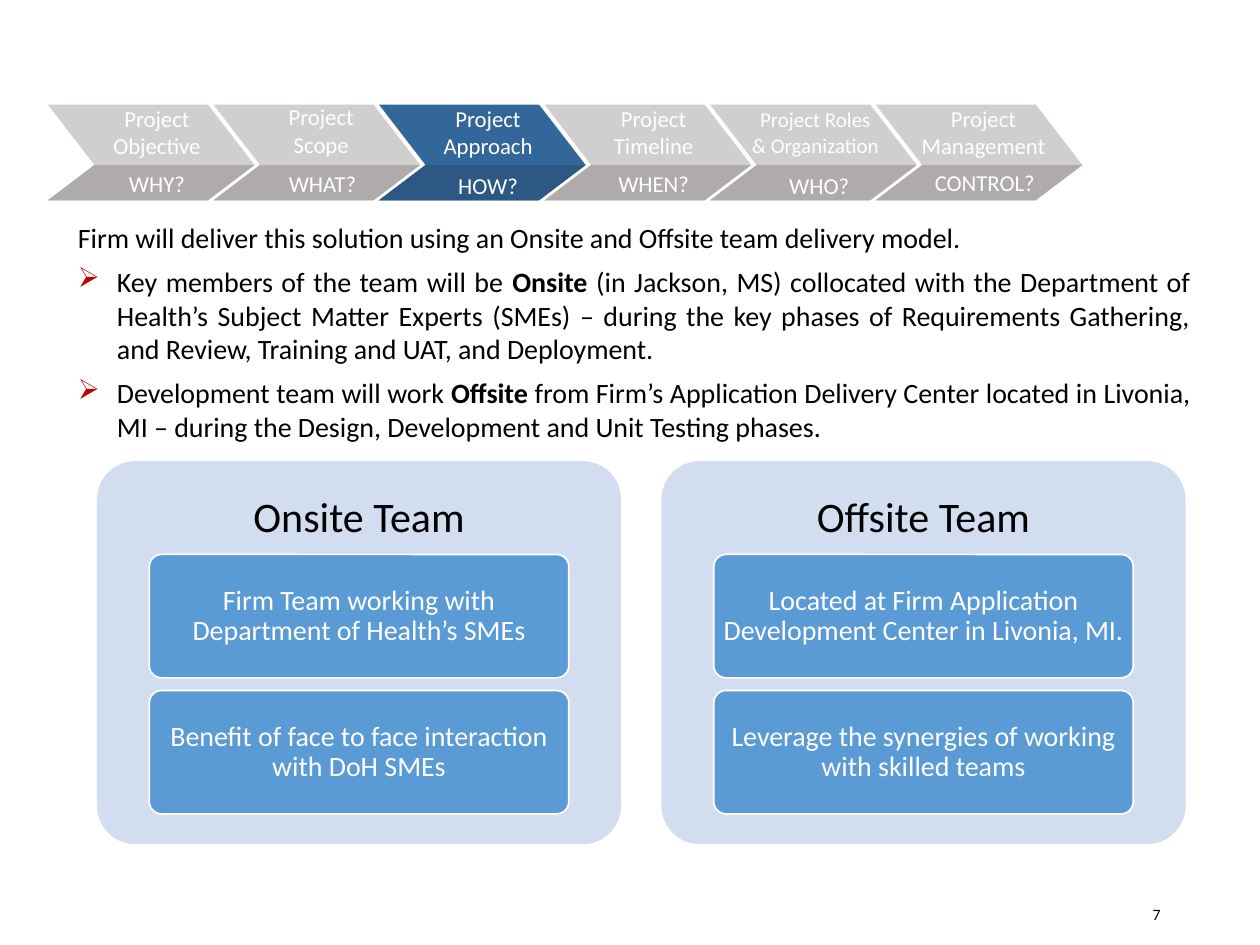
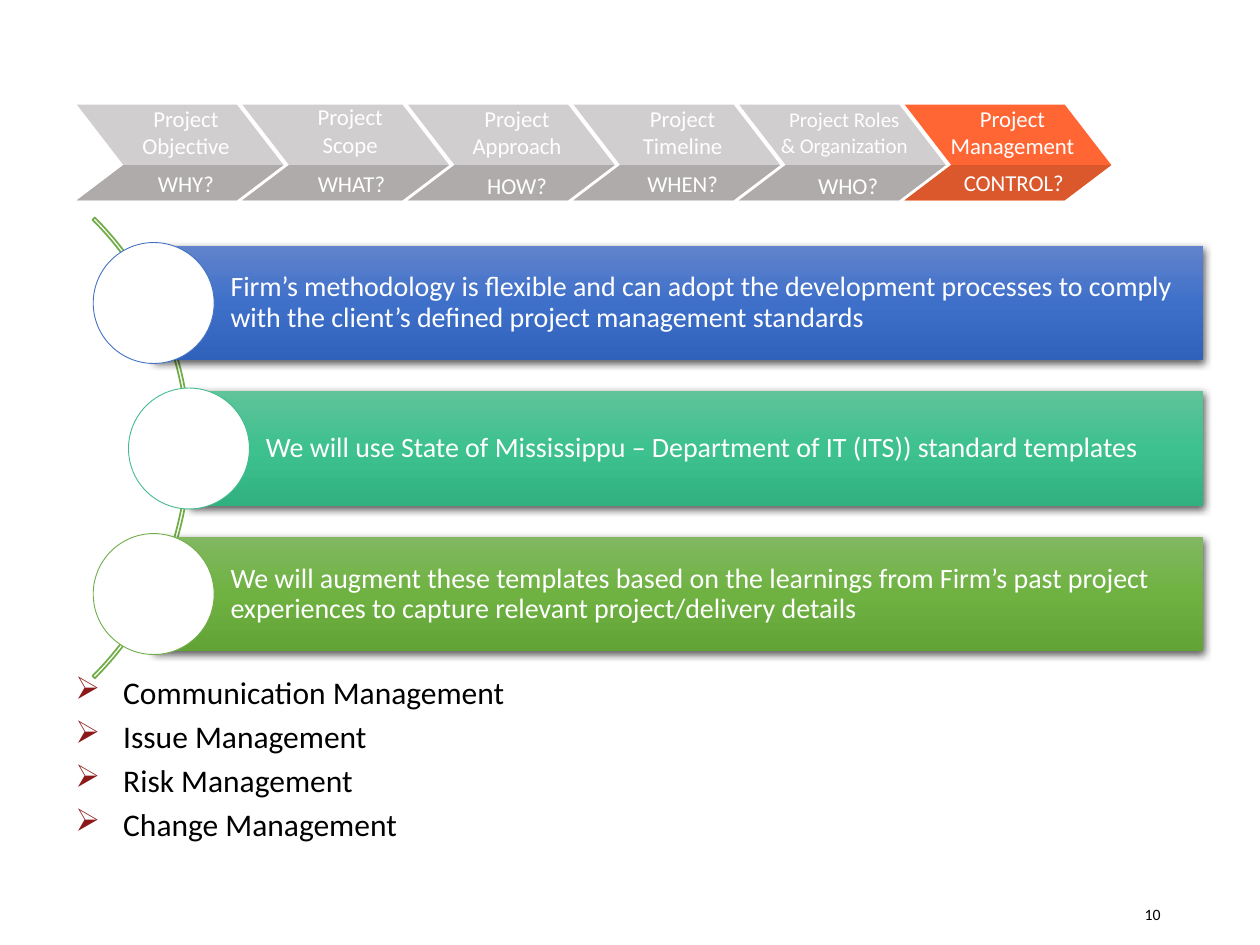
from lxml import etree
from pptx import Presentation
from pptx.dml.color import RGBColor
from pptx.enum.shapes import MSO_SHAPE as SHAPE
from pptx.enum.text import MSO_ANCHOR as ANCHOR, PP_ALIGN as ALIGN
from pptx.oxml import parse_xml
from pptx.oxml.ns import nsdecls, qn
from pptx.util import Inches, Pt

FONT = "Calibri"
WHITE = RGBColor(0xFF, 0xFF, 0xFF)
BLACK = RGBColor(0x00, 0x00, 0x00)
LIGHT_GREY = RGBColor(0xD0, 0xCE, 0xCE)
DARK_GREY = RGBColor(0xAF, 0xAB, 0xAB)
NAVY = RGBColor(0x33, 0x66, 0x99)
DARK_NAVY = RGBColor(0x2C, 0x58, 0x83)
ORANGE = RGBColor(0xFF, 0x66, 0x33)
DARK_ORANGE = RGBColor(0xDB, 0x58, 0x2C)
PALE_BLUE = RGBColor(0xD2, 0xDE, 0xEF)
SKY_BLUE = RGBColor(0x5B, 0x9B, 0xD5)
BLUE = RGBColor(0x44, 0x72, 0xC4)
TEAL = RGBColor(0x43, 0xBB, 0x8D)
GREEN = RGBColor(0x70, 0xAD, 0x47)
RED = RGBColor(0xC0, 0x00, 0x00)
DARK_RED = RGBColor(0x8C, 0x19, 0x19)
BULLET = "➢"


def write_text(holder, text, size, color=BLACK, align=ALIGN.LEFT, anchor=ANCHOR.TOP,
               insets=(0.1, 0.05, 0.1, 0.05), spacing=None, before=0, after=0,
               indent=0.31, bullet_color=RED):
    """Lines become paragraphs, *stars* mark bold, a leading arrow makes a bullet."""
    frame = holder.text_frame
    frame.word_wrap = True
    frame.vertical_anchor = anchor
    (frame.margin_left, frame.margin_top,
     frame.margin_right, frame.margin_bottom) = map(Inches, insets)
    for i, line in enumerate(text.split("\n")):
        par = frame.add_paragraph() if i else frame.paragraphs[0]
        par.alignment = align
        par.space_before, par.space_after = Pt(before), Pt(after)
        if spacing:
            par.line_spacing = spacing
        if line.startswith(BULLET):
            props = par._p.get_or_add_pPr()
            props.set("marL", str(Inches(indent)))
            props.set("indent", str(-Inches(indent)))
            tint = etree.SubElement(props, qn("a:buClr"))
            etree.SubElement(tint, qn("a:srgbClr")).set("val", str(bullet_color))
            etree.SubElement(props, qn("a:buChar")).set("char", BULLET)
        for j, part in enumerate(line.lstrip(BULLET).split("*")):
            run = par.add_run()
            run.text = part
            run.font.name, run.font.size = FONT, Pt(size)
            run.font.bold = j % 2 == 1
            run.font.color.rgb = color


def add_block(slide, kind, box, fill=None, line=None, width=1):
    block = slide.shapes.add_shape(kind, *map(Inches, box))
    block.shadow.inherit = False
    if fill is None:
        block.fill.background()
    else:
        block.fill.solid()
        block.fill.fore_color.rgb = fill
    if line is None:
        block.line.fill.background()
    else:
        block.line.color.rgb = line
        block.line.width = Pt(width)
    return block


prs = Presentation()
prs.slide_width, prs.slide_height = Inches(10), Inches(7.5)
approach = prs.slides.add_slide(prs.slide_layouts[6])
management = prs.slides.add_slide(prs.slide_layouts[6])

# Shared: chevron band and page number
# step name, question, size, label offset, name top, question top
STEPS = [
    ("Project\nObjective", "WHY?", 13, 0.09, 0.78, 1.30),
    ("Project\nScope", "WHAT?", 13, 0.08, 0.77, 1.30),
    ("Project\nApproach", "HOW?", 13, 0.09, 0.78, 1.31),
    ("Project\nTimeline", "WHEN?", 13, 0.09, 0.78, 1.30),
    ("Project Roles\n& Organization", "WHO?", 12, 0.06, 0.80, 1.31),
    ("Project\nManagement", "CONTROL?", 13, 0.08, 0.78, 1.29),
]
STEP_PITCH = 6.57 / 5
TOP, MIDDLE, BOTTOM = 0.83, 1.31, 1.59

for slide, band_left, active, active_colors, page in [
    (approach, 0.38, 2, (NAVY, DARK_NAVY), "7"),
    (management, 0.61, 5, (ORANGE, DARK_ORANGE), "10"),
]:
    number = slide.shapes.add_textbox(*map(Inches, (7.06, 7.06, 2.25, 0.4)))
    write_text(number, page, 9, align=ALIGN.RIGHT, anchor=ANCHOR.MIDDLE)

    for i in range(len(STEPS)):
        x = band_left + i * STEP_PITCH
        notch, tip = (x + 0.37, MIDDLE), (x + 1.64, MIDDLE)
        lower = [tip, notch, (x, BOTTOM), (x + 1.27, BOTTOM)]
        whole = [tip, (x + 1.27, TOP), (x, TOP)] + lower[1:]
        colors = active_colors if i == active else (LIGHT_GREY, DARK_GREY)
        for points, color in zip((whole, lower), colors):
            corners = [(Inches(px), Inches(py)) for px, py in points]
            outline = slide.shapes.build_freeform(*corners[0])
            outline.add_line_segments(corners[1:], close=True)
            chevron = outline.convert_to_shape()
            chevron.shadow.inherit = False
            chevron.fill.solid()
            chevron.fill.fore_color.rgb = color
            chevron.line.fill.background()

    for i, (name, question, size, offset, name_top, question_top) in enumerate(STEPS):
        x = band_left + i * STEP_PITCH
        for text, points, left, y, height in [
            (name, size, x + offset, name_top, 0.54),
            (question, 13, x + 0.09, question_top, 0.32),
        ]:
            label = slide.shapes.add_textbox(*map(Inches, (left, y, 1.55, height)))
            write_text(label, text, points, WHITE, ALIGN.CENTER)

# Slide 1: delivery model
delivery = approach.shapes.add_textbox(*map(Inches, (0.52, 1.7, 9.03, 1.88)))
write_text(
    delivery,
    "Firm will deliver this solution using an Onsite and Offsite team delivery model.\n"
    "➢Key members of the team will be *Onsite* (in Jackson, MS) collocated with the "
    "Department of Health’s Subject Matter Experts (SMEs) – during the key phases of "
    "Requirements Gathering, and Review, Training and UAT, and Deployment.\n"
    "➢Development team will work *Offsite* from Firm’s Application Delivery Center "
    "located in Livonia, MI – during the Design, Development and Unit Testing phases.",
    16, align=ALIGN.JUSTIFY, after=6)

# Slide 1: team panels
TEAMS = [
    (0.77, "Onsite Team", ["Firm Team working with Department of Health’s SMEs",
                           "Benefit of face to face interaction with DoH SMEs"]),
    (5.25, "Offsite Team", ["Located at Firm Application Development Center in Livonia, MI.",
                            "Leverage the synergies of working with skilled teams"]),
]
PANEL_WIDTH, CARD_WIDTH = 4.16, 3.33
for left, team, duties in TEAMS:
    panel = add_block(approach, SHAPE.ROUNDED_RECTANGLE,
                      (left, 3.66, PANEL_WIDTH, 3.04), PALE_BLUE)
    panel.adjustments[0] = 0.1
    heading = approach.shapes.add_textbox(*map(Inches, (left, 3.66, PANEL_WIDTH, 0.91)))
    write_text(heading, team, 24, align=ALIGN.CENTER, anchor=ANCHOR.MIDDLE,
               insets=(0.1,) * 4, spacing=0.9)
    for row, duty in enumerate(duties):
        card_left = left + (PANEL_WIDTH - CARD_WIDTH) / 2
        card = add_block(approach, SHAPE.ROUNDED_RECTANGLE,
                         (card_left, 4.4 + row * 1.08, CARD_WIDTH, 0.98), SKY_BLUE, WHITE)
        card.adjustments[0] = 0.1
        write_text(card, duty, 16, WHITE, ALIGN.CENTER, ANCHOR.MIDDLE,
                   insets=(0.04, 0.03, 0.04, 0.03), spacing=0.9)

# Slide 2: management topics
topics = management.shapes.add_textbox(*map(Inches, (0.5, 5.29, 8.96, 1.67)))
write_text(topics,
           "➢Communication Management\n➢Issue Management\n"
           "➢Risk Management\n➢Change Management",
           18, before=3.6, indent=0.38, bullet_color=DARK_RED)

# Slide 2: arc behind the principles
arc = add_block(management, SHAPE.BLOCK_ARC, (-3.66, 0.97, 5.17, 5.17), line=GREEN)
for i, value in enumerate((189, 27, 0.005)):
    arc.adjustments[i] = value

# Slide 2: principles, each a shaded bar with a circle
PRINCIPLES = [
    (1.22, BLUE, ("6183CB", "3E70CA", "3062BB"),
     "Firm’s methodology is flexible and can adopt the development processes to comply "
     "with the client’s defined project management standards"),
    (1.50, TEAL, ("60C39A", "3DC18F", "31B080"),
     "We will use State of Mississippu – Department of IT (ITS)) standard templates"),
    (1.22, GREEN, ("81B861", "6FB242", "62A336"),
     "We will augment these templates based on the learnings from Firm’s past project "
     "experiences to capture relevant project/delivery details"),
]
BAR_RIGHT, BAR_HEIGHT, CIRCLE = 9.55, 0.91, 0.96
for i, (left, color, shades, principle) in enumerate(PRINCIPLES):
    top = 1.95 + i * 1.155
    bar = add_block(management, SHAPE.RECTANGLE,
                    (left, top, BAR_RIGHT - left, BAR_HEIGHT), color)
    stops = "".join(f'<a:gs pos="{n * 50000}"><a:srgbClr val="{shade}"/></a:gs>'
                    for n, shade in enumerate(shades))
    props = bar._element.spPr
    props.replace(props.find(qn("a:solidFill")), parse_xml(
        f'<a:gradFill {nsdecls("a")} rotWithShape="1"><a:gsLst>{stops}</a:gsLst>'
        '<a:lin ang="5400000" scaled="0"/></a:gradFill>'))
    props.replace(props.find(qn("a:effectLst")), parse_xml(
        f'<a:effectLst {nsdecls("a")}><a:outerShdw blurRad="{Pt(4.5)}" dist="{Pt(1.5)}" '
        'dir="5400000" algn="ctr" rotWithShape="0"><a:srgbClr val="000000">'
        '<a:alpha val="63000"/></a:srgbClr></a:outerShdw></a:effectLst>'))
    write_text(bar, principle, 16, WHITE, anchor=ANCHOR.MIDDLE,
               insets=(0.61, 0.04, 0.04, 0.04), spacing=0.9)
    add_block(management, SHAPE.OVAL,
              (left - CIRCLE / 2, top + (BAR_HEIGHT - CIRCLE) / 2, CIRCLE, CIRCLE),
              WHITE, color, 0.5)

prs.save("out.pptx")
